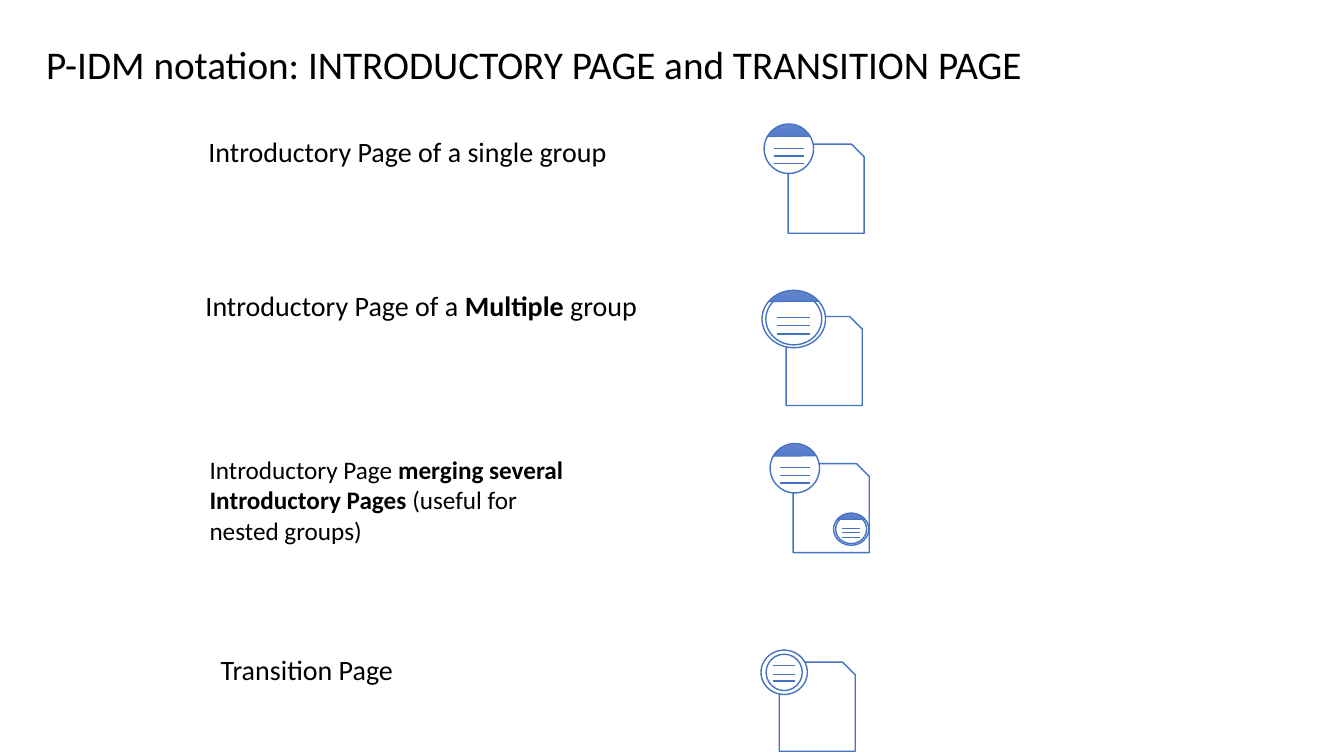
from copy import deepcopy
from lxml.etree import SubElement
from pptx import Presentation
from pptx.dml.color import RGBColor
from pptx.enum.shapes import MSO_CONNECTOR, MSO_SHAPE
from pptx.enum.text import MSO_ANCHOR, MSO_AUTO_SIZE
from pptx.oxml.ns import qn
from pptx.util import Pt

BLUE, WHITE, BLACK = "4472C4", "FFFFFF", "000000"
CAP_STOPS = [(0, "6183CB"), (0.5, "3E70CA"), (1, "3062BB")]

# Content: runs are (text, bold)
TITLE = [("P-IDM notation: INTRODUCTORY PAGE and TRANSITION PAGE", False)]
LABELS = [  # left, top, width, height, size, indent, runs
    (105.8, 92.9, 411, 31.7, 20, 36, [("Introductory Page of a single group", False)]),
    (103.7, 202.3, 411, 31.7, 20, 36, [("Introductory Page of a ", False),
                                       ("Multiple ", True), ("group", False)]),
    (142.6, 321.1, 283.7, 72.7, 18, 0, [("Introductory Page ", False),
                                        ("merging several Introductory Pages ", True),
                                        ("(useful for nested groups)", False)]),
    (114.5, 462.2, 411, 31.7, 20, 36, [("Transition Page", False)]),
]

# Seal styles, as fractions of the seal's size
SEALS = {
    "single": dict(inset=None, margin=0.2, rows=(0.49, 0.65, 0.8), cap=(1.08, 1.3)),
    "multiple": dict(inset=(0.06, 0.05), margin=0.24, rows=(0.47, 0.61, 0.76), cap=(1.08, 1.21)),
    "transition": dict(inset=(0.11, 0.09), margin=0.26, rows=(0.34, 0.55, 0.7), cap=None),
}
PAGE_W, PAGE_H = 54.3, 63.6
ICONS = [  # page corner, then seals: style, left, top, width, height
    ((563, 103), [("single", 545.8, 88.6, 35.3, 35.3)]),
    ((561.6, 226.1), [("multiple", 544.3, 207.4, 45.4, 41)]),
    ((566.6, 331.2), [("single", 550.1, 316.8, 35.3, 35.3),
                      ("multiple", 595.4, 366.5, 25.2, 23)]),
    ((556.6, 473), [("transition", 543.6, 464.4, 33.1, 31.7)]),
]


def rgb(color):
    return RGBColor.from_string(color)


def add_text(s, runs, box, size, indent=0, anchor=MSO_ANCHOR.TOP, grow=True, spacing=None):
    tf = s.shapes.add_textbox(*map(Pt, box)).text_frame
    tf.word_wrap = True
    tf.vertical_anchor = anchor
    tf.auto_size = MSO_AUTO_SIZE.SHAPE_TO_FIT_TEXT if grow else MSO_AUTO_SIZE.NONE
    p = tf.paragraphs[0]
    p.line_spacing = spacing
    if indent:
        p.level = 1
        p._p.get_or_add_pPr().set("marL", str(Pt(indent)))
    for text, bold in runs:
        r = p.add_run()
        r.text = text
        r.font.name, r.font.size, r.font.bold = "Calibri", Pt(size), bold
        r.font.color.rgb = rgb(BLACK)


def add_outline(group, kind, x, y, w, h, line=1):
    sp = group.shapes.add_shape(kind, Pt(x), Pt(y), Pt(w), Pt(h))
    sp.shadow.inherit = False
    sp.fill.solid()
    sp.fill.fore_color.rgb = rgb(WHITE)
    sp.line.color.rgb = rgb(BLUE)
    sp.line.width = Pt(line)
    return sp


def add_cap(group, x, y, w, h):
    sp = add_outline(group, MSO_SHAPE.CHORD, x, y, w, h, line=0.5)
    sp.adjustments[0], sp.adjustments[1] = 133.51, 190.19
    sp.fill.gradient()
    sp.fill.gradient_angle = 270
    first = sp._element.spPr.find(".//" + qn("a:gs"))
    first.addnext(deepcopy(first))
    for stop, (position, color) in zip(sp.fill.gradient_stops, CAP_STOPS):
        stop.position = position
        stop.color.rgb = rgb(color)


def add_row(group, x1, x2, y):
    line = group.shapes.add_connector(MSO_CONNECTOR.STRAIGHT, Pt(x1), Pt(y), Pt(x2), Pt(y))
    line.line.color.rgb = rgb(BLUE)
    line.line.width = Pt(1)
    SubElement(line._element.spPr, qn("a:effectLst"))


def add_seal(group, style, x, y, w, h):
    seal = SEALS[style]
    add_outline(group, MSO_SHAPE.OVAL, x, y, w, h)
    if seal["inset"]:
        dx, dy = seal["inset"][0] * w, seal["inset"][1] * h
        add_outline(group, MSO_SHAPE.OVAL, x + dx, y + dy, w - 2 * dx, h - 2 * dy)
    for row in seal["rows"]:
        add_row(group, x + seal["margin"] * w, x + (1 - seal["margin"]) * w, y + row * h)
    if seal["cap"]:
        cap_w, cap_h = seal["cap"][0] * w, seal["cap"][1] * h
        add_cap(group, x + (w - cap_w) / 2, y, cap_w, cap_h)


prs = Presentation()
prs.slide_width, prs.slide_height = Pt(960), Pt(540)
s = prs.slides.add_slide(prs.slide_layouts[6])

# Title and labels
add_text(s, TITLE, (25.9, 3.6, 900.7, 87.8), 28,
         anchor=MSO_ANCHOR.MIDDLE, grow=False, spacing=0.9)
for *box, size, indent, runs in LABELS:
    add_text(s, runs, box, size, indent)

# Page icons with their seals
for (x, y), seals in ICONS:
    group = s.shapes.add_group_shape()
    add_outline(group, MSO_SHAPE.SNIP_1_RECTANGLE, x, y, PAGE_W, PAGE_H)
    for seal in seals:
        add_seal(group, *seal)

prs.save("out.pptx")
